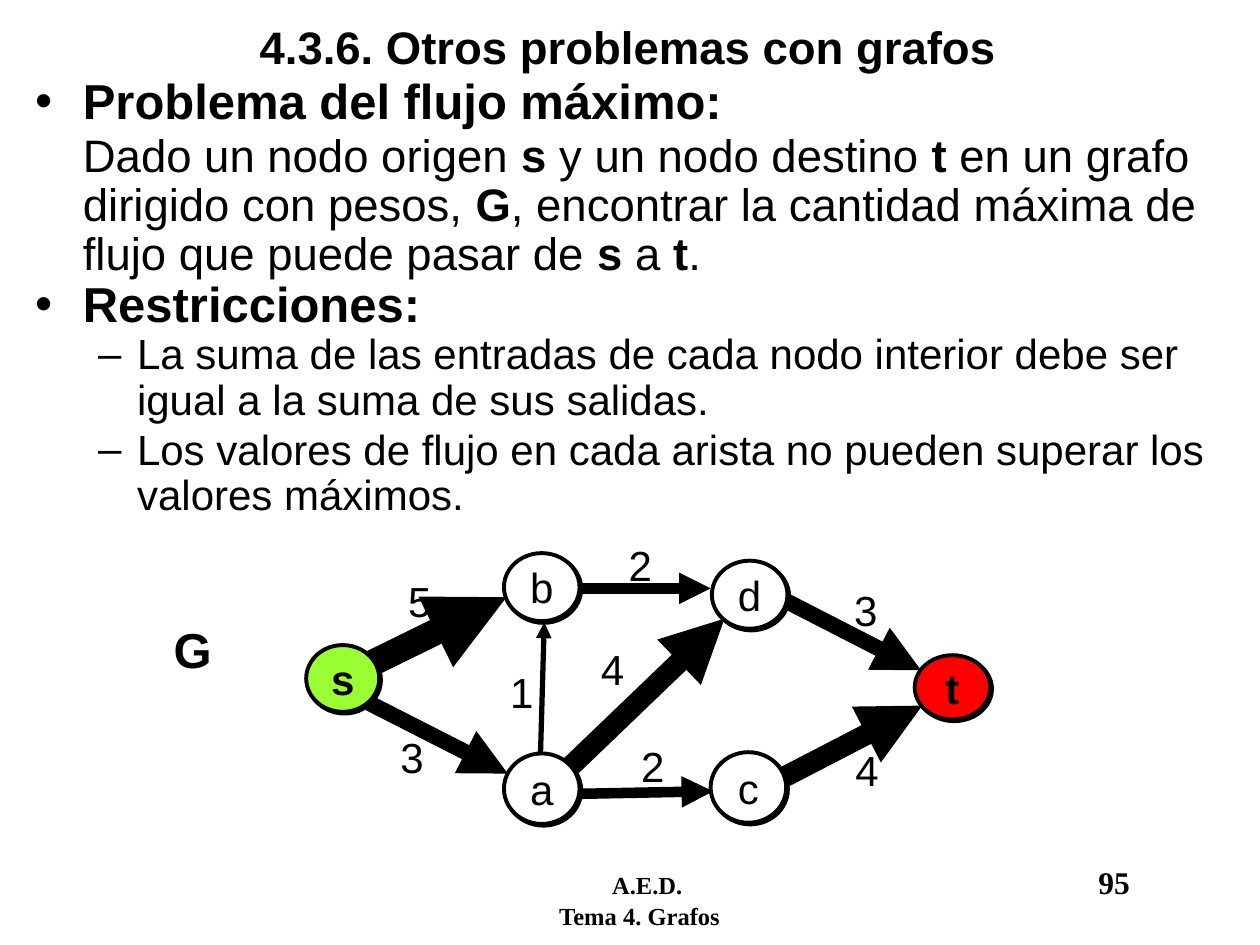
from lxml.etree import SubElement
from pptx import Presentation
from pptx.dml.color import RGBColor
from pptx.enum.shapes import MSO_CONNECTOR as Link, MSO_SHAPE as Shape
from pptx.enum.text import MSO_ANCHOR as Anchor, PP_ALIGN as Align
from pptx.oxml.ns import qn
from pptx.util import Inches, Pt

BLACK = RGBColor(0, 0, 0)
WHITE = RGBColor(255, 255, 255)
GREEN = RGBColor(0x99, 0xFF, 0x33)
RED = RGBColor(255, 0, 0)


class Deck:
    sans = "Arial"
    serif = "Times New Roman"

    def __init__(self):
        self.prs = Presentation()
        self.prs.slide_width, self.prs.slide_height = Inches(10), Inches(7.5)
        self.slide = self.prs.slides.add_slide(self.prs.slide_layouts[6])

    def run(self, para, text, size, bold=False, face=None):
        run = para.add_run()
        run.text = text
        font = run.font
        font.size, font.bold, font.name = Pt(size), bold, face or self.sans
        font.color.rgb = BLACK

    def box(self, x, y, w, h):
        frame = self.slide.shapes.add_textbox(
            Inches(x), Inches(y), Inches(w), Inches(h)).text_frame
        frame.word_wrap = True
        return frame

    def label(self, text, x, y, w=0.48, h=0.5, size=24, bold=False):
        self.run(self.box(x, y, w, h).paragraphs[0], text, size, bold)

    def item(self, para, runs, size, left=0.38, hang=0, mark=None, before=0):
        """Fill an indented paragraph; runs are (text, bold) pairs."""
        props = para._p.get_or_add_pPr()
        props.set("marL", str(Inches(left)))
        props.set("indent", str(-Inches(hang)))
        if mark:
            SubElement(props, qn("a:buFont"), typeface=self.sans)
            SubElement(props, qn("a:buChar"), char=mark)
        para.line_spacing = 0.9
        para.space_before = Pt(before)
        for text, bold in runs:
            self.run(para, text, size, bold)

    def tabs(self, para, *stops):
        row = SubElement(para._p.get_or_add_pPr(), qn("a:tabLst"))
        for stop in stops:
            SubElement(row, qn("a:tab"), pos=str(Inches(stop)), algn="l")

    def arrow(self, x1, y1, x2, y2, width):
        link = self.slide.shapes.add_connector(
            Link.STRAIGHT, Inches(x1), Inches(y1), Inches(x2), Inches(y2))
        link.line.color.rgb = BLACK
        link.line.width = Pt(width)
        SubElement(link.line._get_or_add_ln(), qn("a:tailEnd"), type="triangle")
        SubElement(link._element.spPr, qn("a:effectLst"))

    def node(self, text, x, y, w, h, fill=WHITE, bold=False):
        oval = self.slide.shapes.add_shape(
            Shape.OVAL, Inches(x), Inches(y), Inches(w), Inches(h))
        oval.fill.solid()
        oval.fill.fore_color.rgb = fill
        oval.line.color.rgb = BLACK
        oval.line.width = Pt(2.25)
        self.shade(oval)
        frame = oval.text_frame
        frame.word_wrap = False
        frame.vertical_anchor = Anchor.MIDDLE
        para = frame.paragraphs[0]
        para.alignment = Align.CENTER
        self.run(para, text, 24, bold)

    def shade(self, shape):
        """Give a shape a hard black shadow to the lower right."""
        shape.shadow.inherit = False
        glow = SubElement(shape._element.spPr.find(qn("a:effectLst")),
                          qn("a:outerShdw"), dist=str(Pt(1.4)),
                          dir=str(45 * 60000), algn="ctr", rotWithShape="0")
        SubElement(glow, qn("a:srgbClr"), val=str(BLACK))


def main():
    deck = Deck()

    foot = deck.box(3.62, 6.8, 5.8, 0.5)
    para = foot.paragraphs[0]
    deck.tabs(para, 1.14, 5)
    deck.run(para, "\tA.E.D.\t", 14, True, deck.serif)
    deck.run(para, "95", 18, True, deck.serif)
    para = foot.add_paragraph()
    para._p.get_or_add_pPr().set("marL", str(Inches(0.72)))
    deck.run(para, "Tema 4. Grafos", 14, True, deck.serif)

    title = deck.box(0.32, 0, 9.33, 0.73)
    title.vertical_anchor = Anchor.MIDDLE
    title.paragraphs[0].alignment = Align.CENTER
    deck.run(title.paragraphs[0], "4.3.6. Otros problemas con grafos", 26, True)

    body = deck.box(0.18, 0.56, 9.56, 3.87)
    head = dict(size=28, hang=0.38, mark="•")
    dash = dict(size=24, left=0.81, hang=0.31, mark="–")
    deck.item(body.paragraphs[0], [("Problema del flujo máximo:", True)], **head)
    deck.item(body.add_paragraph(), [
        ("Dado un nodo origen ", False), ("s", True),
        (" y un nodo destino ", False), ("t", True),
        (" en un grafo dirigido con pesos, ", False), ("G", True),
        (", encontrar la cantidad máxima de flujo que puede pasar de ", False),
        ("s", True), (" a ", False), ("t", True), (".", False)], 26, before=2)
    deck.item(body.add_paragraph(), [("Restricciones:", True)], **head)
    deck.item(body.add_paragraph(), [(
        "La suma de las entradas de cada nodo interior debe ser igual "
        "a la suma de sus salidas.", False)], **dash)
    deck.item(body.add_paragraph(), [(
        "Los valores de flujo en cada arista no pueden superar "
        "los valores máximos.", False)], before=3, **dash)

    # Each edge: start, end, flow, label corner; the line is 3 pt per unit
    edges = [
        (2.93, 5.58, 4.03, 6.14, 3, 3.08, 5.76),
        (2.94, 5.27, 4.02, 4.74, 5, 3.14, 4.52),
        (4.29, 5.98, 4.32, 4.94, 1, 3.95, 5.24),
        (4.49, 6.12, 5.75, 4.91, 4, 4.67, 5.06),
        (4.6, 4.67, 5.64, 4.67, 2, 4.89, 4.23),
        (4.61, 6.3, 5.66, 6.28, 2, 4.99, 5.83),
        (6.18, 6.19, 7.32, 5.6, 4, 6.69, 5.86),
        (6.22, 4.76, 7.31, 5.32, 3, 6.68, 4.59),
    ]
    for *ends, flow, x, y in edges:
        deck.arrow(*ends, 3 * flow)
    for *ends, flow, x, y in edges:
        deck.label(str(flow), x, y)

    deck.node("s", 2.43, 5.12, 0.58, 0.53, GREEN, True)
    deck.node("t", 7.26, 5.2, 0.6, 0.51, RED, True)
    deck.node("a", 4, 5.98, 0.6, 0.56)
    deck.node("c", 5.64, 5.97, 0.6, 0.56)
    deck.node("b", 4, 4.39, 0.6, 0.54)
    deck.node("d", 5.65, 4.45, 0.6, 0.54)
    deck.label("G", 1.28, 4.87, 0.73, 0.57, 28, True)

    deck.prs.save("out.pptx")


if __name__ == "__main__":
    main()
